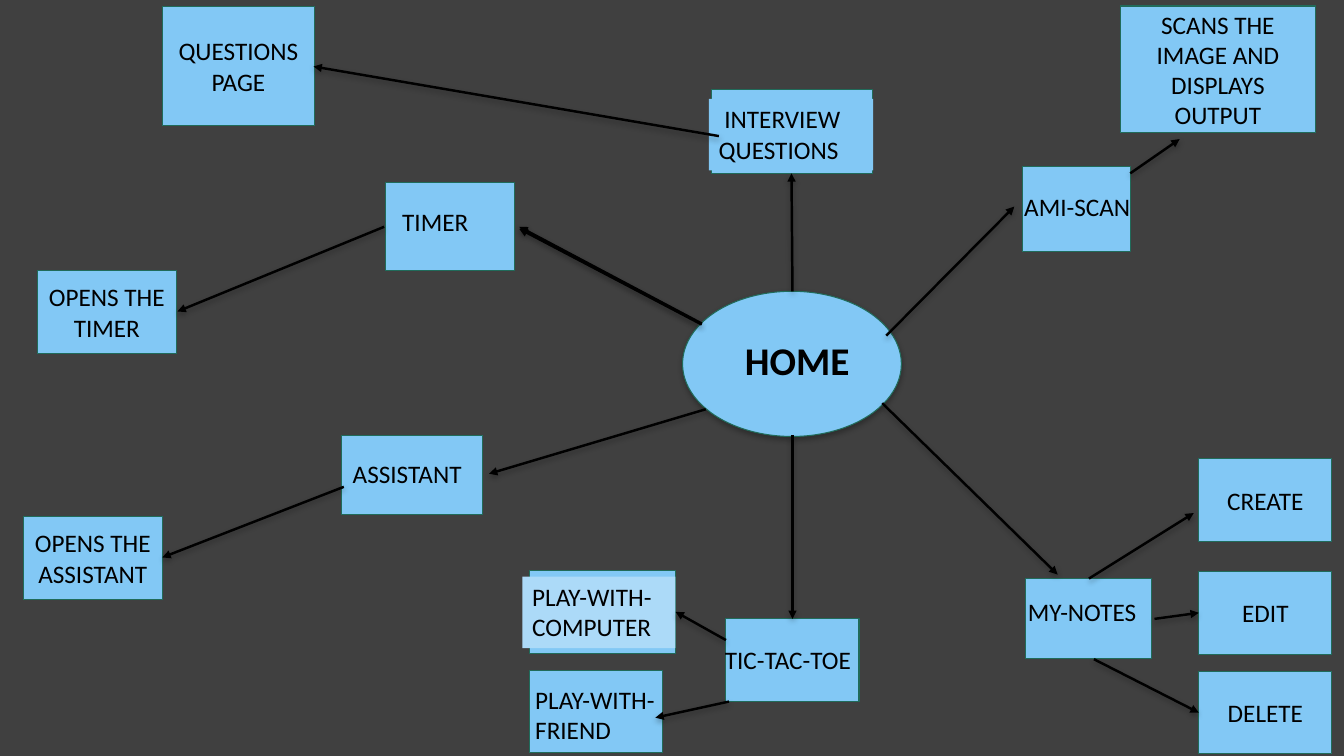
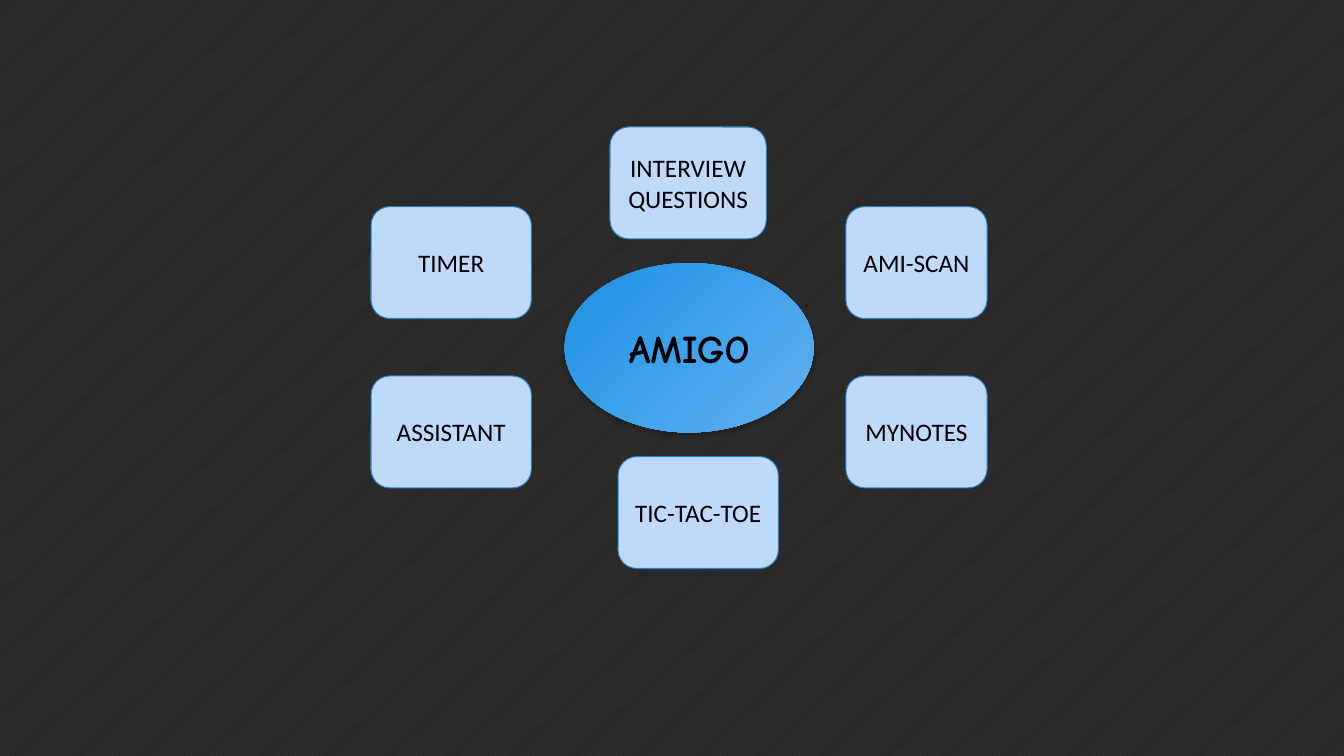
"""Build the app flow map and the feature overview slides."""
import pptx
import pptx.util
import pptx.dml.color
import pptx.enum.dml
import pptx.enum.shapes
import pptx.enum.text
import pptx.oxml
import pptx.oxml.ns

Inches = pptx.util.Inches
Pt = pptx.util.Pt
RGBColor = pptx.dml.color.RGBColor
Shape = pptx.enum.shapes.MSO_SHAPE
Align = pptx.enum.text.PP_ALIGN
Anchor = pptx.enum.text.MSO_ANCHOR
Weave = pptx.enum.dml.MSO_PATTERN

BLACK = RGBColor(0x00, 0x00, 0x00)
GREY = RGBColor(0x40, 0x40, 0x40)
COAL = RGBColor(0x26, 0x26, 0x26)
SKY = RGBColor(0x82, 0xC8, 0xF5)
PALE = RGBColor(0xAC, 0xDA, 0xF8)
GREEN = RGBColor(0x20, 0x6B, 0x5A)
ICE = RGBColor(0xBF, 0xDA, 0xF9)
BLUE = RGBColor(0x26, 0x83, 0xBF)
DEEP = RGBColor(0x1C, 0x92, 0xE2)
LIGHT = RGBColor(0x62, 0xB0, 0xF2)

BODY = {"name": "Calibri", "size": Pt(18), "bold": False}
HEAD = {"name": "Calibri", "size": Pt(28), "bold": True}
BRAND = {"name": "Comic Neue", "size": Pt(28), "bold": True}
SPACE = pptx.oxml.ns.nsdecls("a")
SHADOW = (
    f'<a:effectLst {SPACE}><a:outerShdw blurRad="{Pt(4)}" dist="{Pt(2)}" '
    'dir="5400000" algn="ctr" rotWithShape="0"><a:srgbClr val="000000">'
    '<a:alpha val="28000"/></a:srgbClr></a:outerShdw></a:effectLst>'
)
ARROW = f'<a:tailEnd {SPACE} type="triangle"/>'


def cast(shape):
    props = shape._element.spPr
    for old in props.findall(pptx.oxml.ns.qn("a:effectLst")):
        props.remove(old)
    props.append(pptx.oxml.parse_xml(SHADOW))


def place(slide, kind, area, text="", fill=None, edge=None, look=BODY, mid=True):
    spot = [Inches(size) for size in area]
    if kind is None:
        shape = slide.shapes.add_textbox(*spot)
    else:
        shape = slide.shapes.add_shape(kind, *spot)
        shape.shadow.inherit = False
        if fill is not None:
            shape.fill.solid()
            shape.fill.fore_color.rgb = fill
        if edge is None:
            shape.line.fill.background()
        else:
            shape.line.color.rgb = edge
            shape.line.width = Pt(0.75)
    frame = shape.text_frame
    frame.word_wrap = True
    frame.vertical_anchor = Anchor.MIDDLE if mid else Anchor.TOP
    if text:
        frame.text = text
        for para in frame.paragraphs:
            para.alignment = Align.CENTER if mid else Align.LEFT
            para.font.color.rgb = BLACK
            for key, value in look.items():
                setattr(para.font, key, value)
    return shape


deck = pptx.Presentation()
deck.slide_width = Inches(13.33)
deck.slide_height = Inches(7.5)
slides = []
for weave, back in ((Weave.PERCENT_5, GREY), (Weave.LIGHT_UPWARD_DIAGONAL, COAL)):
    slide = deck.slides.add_slide(deck.slide_layouts[6])
    fill = slide.background.fill
    fill.patterned()
    fill.pattern = weave
    fill.fore_color.rgb = GREY
    fill.back_color.rgb = back
    slides.append(slide)
flow, wheel = slides

cast(place(flow, Shape.OVAL, (6.77, 2.89, 2.17, 1.44), fill=SKY, edge=GREEN))

boxes = [
    (3.39, 4.32, 1.4, 0.78, ""),
    (7.2, 6.14, 1.32, 0.82, ""),
    (10.17, 5.74, 1.25, 0.79, ""),
    (3.82, 1.81, 1.28, 0.87, ""),
    (7.06, 0.89, 1.59, 0.83, ""),
    (10.14, 1.65, 1.07, 0.85, ""),
    (5.25, 5.66, 1.45, 0.82, ""),
    (5.25, 6.65, 1.32, 0.82, ""),
    (0.37, 2.68, 1.38, 0.83, "OPENS THE TIMER"),
    (0.23, 5.12, 1.38, 0.83, "OPENS THE ASSISTANT"),
    (11.89, 4.55, 1.32, 0.82, "CREATE"),
    (11.89, 5.67, 1.32, 0.82, "EDIT"),
    (11.89, 6.66, 1.32, 0.82, "DELETE"),
    (11.11, 0.06, 1.94, 1.26, "SCANS THE IMAGE AND DISPLAYS OUTPUT"),
    (1.61, 0.06, 1.51, 1.19, "QUESTIONS PAGE"),
]
for *area, text in boxes:
    place(flow, Shape.RECTANGLE, area, text, SKY, GREEN)

labels = [
    (7.03, 0.98, 1.63, 0.71, " INTERVIEW QUESTIONS", SKY, BODY),
    (5.18, 5.72, 1.52, 0.71, "PLAY-WITH-COMPUTER", PALE, BODY),
    (5.21, 6.74, 1.89, 0.71, "PLAY-WITH-FRIEND", None, BODY),
    (3.89, 2, 1.51, 0.4, "TIMER", None, BODY),
    (10.06, 1.85, 1.28, 0.4, "AMI-SCAN", None, BODY),
    (7.29, 3.29, 1.53, 0.57, "HOME", None, HEAD),
    (3.4, 4.5, 1.32, 0.4, "ASSISTANT", None, BODY),
    (7.09, 6.34, 1.73, 0.4, "TIC-TAC-TOE", None, BODY),
    (10.04, 5.87, 1.51, 0.4, " MY-NOTES", None, BODY),
]
for *area, text, fill, look in labels:
    kind = Shape.RECTANGLE if fill else None
    place(flow, kind, area, text, fill, look=look, mid=False)

arrows = [
    (7, 4.06, 4.85, 4.7),
    (7.86, 4.32, 7.86, 6.14),
    (8.75, 4, 10.49, 5.7),
    (6.96, 3.21, 5.15, 2.25),
    (6.96, 3.22, 5.15, 2.27),
    (7.86, 2.89, 7.85, 1.72),
    (8.79, 3.33, 10.06, 2.05),
    (3.81, 2.25, 1.76, 3.09),
    (7.2, 6.35, 6.7, 6.07),
    (7.23, 6.96, 6.5, 7.12),
    (11.45, 6.14, 11.89, 6.08),
    (10.8, 5.74, 11.84, 5.09),
    (10.85, 6.54, 11.89, 7.07),
    (3.41, 4.83, 1.61, 5.53),
    (11.21, 1.72, 11.7, 1.38),
    (7.13, 1.35, 3.11, 0.66),
]
for ends in arrows:
    link = flow.shapes.add_connector(
        pptx.enum.shapes.MSO_CONNECTOR.STRAIGHT, *[Inches(end) for end in ends]
    )
    link.line.color.rgb = BLACK
    link.line.width = Pt(1.75)
    link.line._get_or_add_ln().append(pptx.oxml.parse_xml(ARROW))
    cast(link)

hub = place(wheel, Shape.OVAL, (5.6, 2.61, 2.47, 1.68), "AMIGO", look=BRAND)
hub.fill.gradient()
hub.fill.gradient_angle = 315
for stop, tint in zip(hub.fill.gradient_stops, (DEEP, LIGHT)):
    stop.color.rgb = tint
cast(hub)

cards = [
    (3.68, 2.05, 1.59, "TIMER"),
    (8.39, 3.73, 1.4, "MYNOTES"),
    (3.68, 3.73, 1.59, "ASSISTANT"),
    (6.05, 1.26, 1.55, "INTERVIEW\nQUESTIONS"),
    (8.39, 2.05, 1.4, "AMI-SCAN"),
    (6.13, 4.53, 1.59, "TIC-TAC-TOE"),
]
for left, top, width, text in cards:
    place(wheel, Shape.ROUNDED_RECTANGLE, (left, top, width, 1.11), text, ICE, BLUE)

deck.save("out.pptx")
